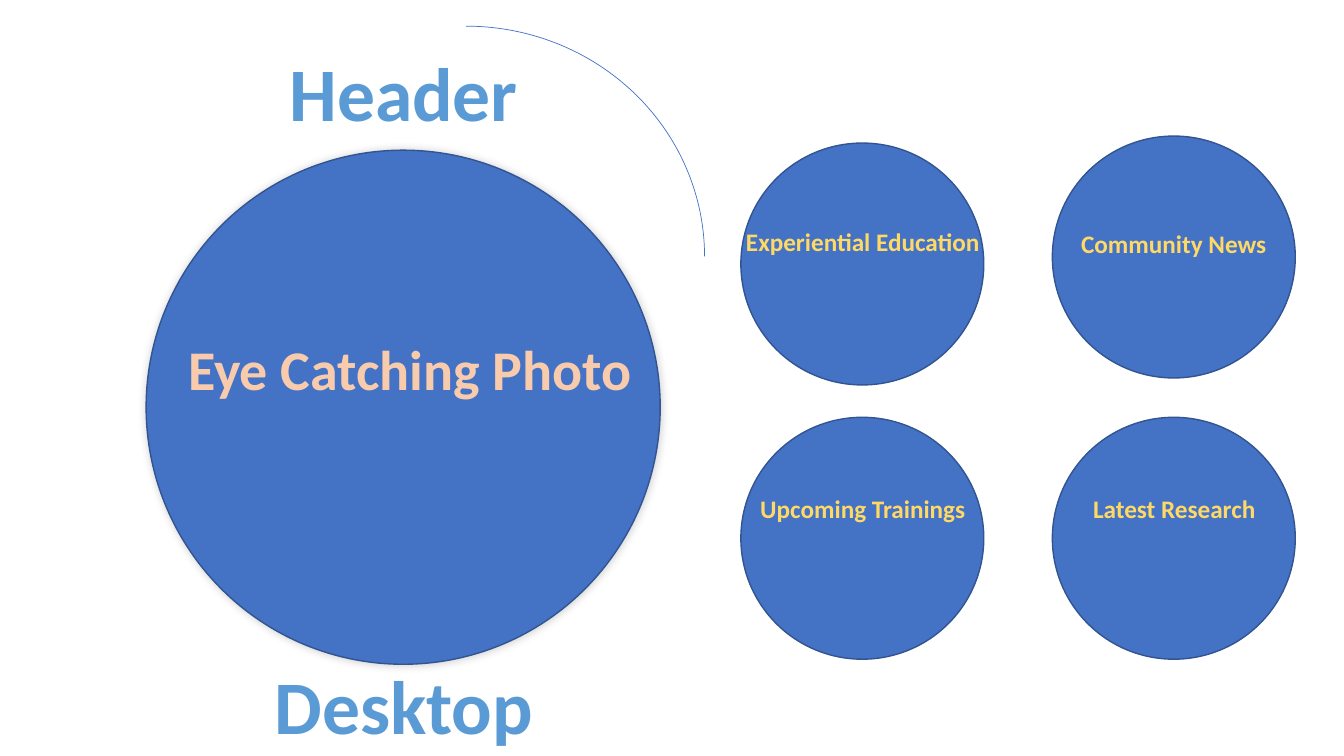
from lxml import etree
from pptx import Presentation
from pptx.dml.color import RGBColor
from pptx.enum.shapes import MSO_SHAPE as SHAPE
from pptx.enum.text import MSO_AUTO_SIZE as AUTO, PP_ALIGN as ALIGN
from pptx.oxml import parse_xml
from pptx.oxml.ns import nsdecls, qn

COLORS = {
    "circle": "4472C4", "edge": "325491", "shadow": "000000",
    "photo": "F8CBAD", "photo_edge": "ED7D31",
    "title": "5B9BD5", "title_edge": "FFFFFF",
    "gold": "FFC000", "gold_mid": "FFD966", "gold_pale": "FFF2CC",
}
GOLD_STOPS = [(0, "gold"), (4, "gold_mid"), (87, "gold_pale")]

deck = Presentation()
deck.slide_width, deck.slide_height = Pt_size = (12192000, 6858000)
from pptx.util import Pt
deck.slide_width, deck.slide_height = Pt(960), Pt(540)
page = deck.slides.add_slide(deck.slide_layouts[6])


def add_outline(kind, place, line_color, line_width, fill_color=None):
    """Add a preset shape with a line and an optional solid fill."""
    shape = page.shapes.add_shape(kind, *map(Pt, place))
    shape.shadow.inherit = False
    if fill_color:
        shape.fill.solid()
        shape.fill.fore_color.rgb = RGBColor.from_string(COLORS[fill_color])
    else:
        shape.fill.background()
    shape.line.color.rgb = RGBColor.from_string(COLORS[line_color])
    shape.line.width = Pt(line_width)
    return shape


def add_label(text, place, size, color, edge, edge_width, wrap=True):
    """Add a centred bold label with outlined letters, gold ones graded."""
    box = page.shapes.add_textbox(*map(Pt, place))
    frame = box.text_frame
    frame.word_wrap = wrap
    frame.auto_size = AUTO.SHAPE_TO_FIT_TEXT
    para = frame.paragraphs[0]
    para.alignment = ALIGN.CENTER
    span = para.add_run()
    span.text = text
    for name, value in {"name": "Calibri", "size": Pt(size), "bold": True}.items():
        setattr(span.font, name, value)
    if color == "gold":
        stops = "".join(
            f'<a:gs pos="{spot * 1000}"><a:srgbClr val="{COLORS[tone]}"/></a:gs>'
            for spot, tone in GOLD_STOPS)
        fill = (f'<a:gradFill {nsdecls("a")}><a:gsLst>{stops}</a:gsLst>'
                '<a:lin ang="5400000"/></a:gradFill>')
        span.font._element.insert(0, parse_xml(fill))
    else:
        span.font.color.rgb = RGBColor.from_string(COLORS[color])
    span.font._element.insert(0, parse_xml(
        f'<a:ln {nsdecls("a")} w="{Pt(edge_width)}"><a:solidFill>'
        f'<a:srgbClr val="{COLORS[edge]}"/></a:solidFill></a:ln>'))


# Main photo circle with a soft shadow
photo = add_outline(SHAPE.FLOWCHART_CONNECTOR, (104.4, 107.3, 367.2, 367.2),
                    "edge", 1, "circle")
effects = photo._element.spPr.find(qn("a:effectLst"))
shadow = etree.SubElement(effects, qn("a:outerShdw"), blurRad=str(Pt(6)),
                          dist="0", dir="13500000", rotWithShape="0")
shade = etree.SubElement(shadow, qn("a:srgbClr"), val=COLORS["shadow"])
etree.SubElement(shade, qn("a:alpha"), val="20000")
add_label("Eye Catching Photo", (104.4, 235.4, 376.6, 55.7), 40,
          "photo", "photo_edge", 1.75)

# Topic circles: circle left and top, then label text, left, top, width, wrap
topics = [
    (529.2, 102.2, "Experiential Education", 524.9, 158.4, 182.9, False),
    (751.7, 97.2, "Community News", 764.6, 159.4, 147.6, False),
    (529.2, 298.1, "Upcoming Trainings", 514.8, 348.8, 203, True),
    (751.7, 298.1, "Latest Research", 737.3, 348.8, 203, True),
]
for left, top, *_ in topics:
    add_outline(SHAPE.FLOWCHART_CONNECTOR, (left, top, 173.5, 172.8),
                "edge", 1, "circle")
for _, _, text, left, top, width, wrap in topics:
    add_label(text, (left, top, width, 29), 18, "gold", "gold", 1, wrap)

# Arc and the two titles
add_outline(SHAPE.ARC, (162.7, 18.7, 340.6, 329), "circle", 0.5)
for text, left, top, width in [("Header", 198.7, 29.5, 179.3),
                               ("Desktop", 187.9, 467.3, 200.9)]:
    add_label(text, (left, top, width, 72.7), 54, "title", "title_edge", 0.75, False)

deck.save("out.pptx")
